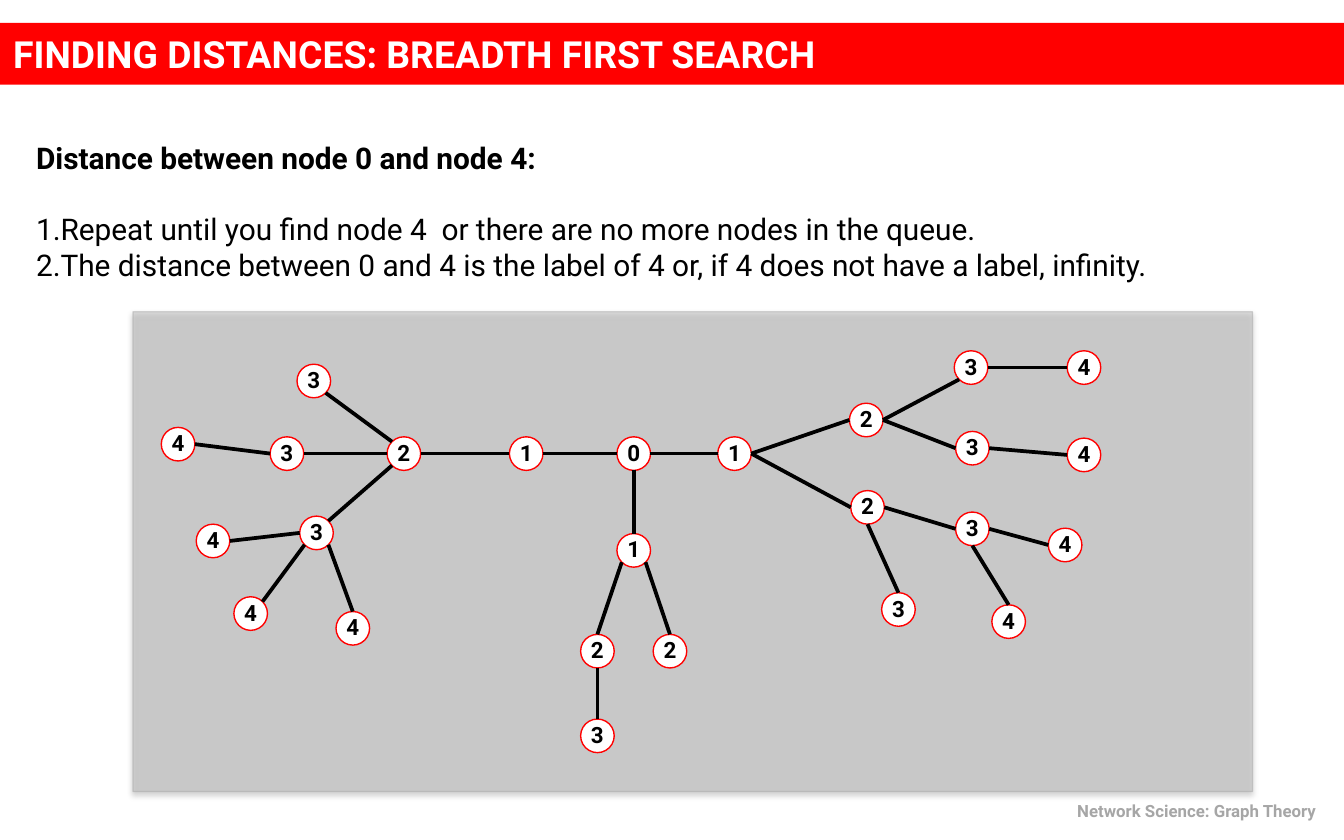
import math

from lxml import etree
from pptx import Presentation
from pptx.dml.color import RGBColor
from pptx.enum.shapes import MSO_CONNECTOR, MSO_SHAPE
from pptx.enum.text import MSO_ANCHOR, PP_ALIGN
from pptx.oxml.ns import qn
from pptx.util import Inches, Pt

TITLE = "FINDING DISTANCES: BREADTH FIRST SEARCH"
HEADING = "Distance between node 0 and node 4:"
STEPS = [
    "Repeat until you find node 4  or there are no more nodes in the queue.",
    "The distance between 0 and 4 is the label of 4 or, if 4 does not have a label, infinity.",
]
FOOTER = "Network Science: Graph Theory"

# node: (left, top, parent, side of the parent, side of the node)
# The number in a node is its distance from the root.
TREE = {
    "root": (4.59, 3.25, None, None, None),
    "right": (5.34, 3.25, "root", "E", "W"),
    "left": (3.79, 3.25, "root", "W", "E"),
    "down": (4.59, 3.97, "root", "S", "N"),
    "right up": (6.32, 3.00, "right", "E", "W"),
    "right low": (6.33, 3.65, "right", "E", "W"),
    "down right": (4.86, 4.72, "down", "SE", "N"),
    "down left": (4.32, 4.72, "down", "SW", "N"),
    "left hub": (2.88, 3.25, "left", "W", "E"),
    "right up 1": (7.10, 2.61, "right up", "E", "SW"),
    "right up 2": (7.11, 3.21, "right up", "E", "W"),
    "right low 1": (7.11, 3.81, "right low", "E", "W"),
    "right low 2": (6.56, 4.41, "right low", "S", "N"),
    "left up": (2.21, 2.71, "left hub", "NW", "SE"),
    "left mid": (2.01, 3.25, "left hub", "W", "E"),
    "left low": (2.23, 3.84, "left hub", "SW", "NE"),
    "down end": (4.32, 5.35, "down left", "S", "N"),
    "left low 1": (2.50, 4.55, "left low", "SE", "N"),
    "left low 2": (1.74, 4.44, "left low", "SW", "NE"),
    "left low 3": (1.46, 3.90, "left low", "W", "E"),
    "left mid end": (1.20, 3.18, "left mid", "W", "E"),
    "right low end 1": (7.80, 3.93, "right low 1", "E", "W"),
    "right low end 2": (7.38, 4.50, "right low 1", "S", "N"),
    "right up end 2": (7.94, 3.26, "right up 2", "E", "W"),
    "right up end 1": (7.94, 2.61, "right up 1", "E", "W"),
}
NODE_SIZE = 0.25
SIDES = ["E", "SE", "S", "SW", "W", "NW", "N", "NE"]

FONT = "Roboto"
BLACK = RGBColor(0x00, 0x00, 0x00)
WHITE = RGBColor(0xFF, 0xFF, 0xFF)
RED = RGBColor(0xFF, 0x00, 0x00)
GRAY = RGBColor(0xA6, 0xA6, 0xA6)
PANEL = RGBColor(0xBF, 0xBF, 0xBF)


def add_text(p, text, size=16, color=BLACK, bold=False, align=PP_ALIGN.LEFT):
    p.alignment = align
    r = p.add_run()
    r.text = text
    r.font.name = FONT
    r.font.size = Pt(size)
    r.font.bold = bold
    r.font.color.rgb = color


def add_box(s, kind, box, fill, line=None):
    sp = s.shapes.add_shape(kind, *map(Inches, box))
    sp.shadow.inherit = False
    sp.fill.solid()
    sp.fill.fore_color.rgb = fill
    if line is None:
        sp.line.fill.background()
    else:
        sp.line.color.rgb = line
        sp.line.width = Pt(0.75)
    return sp


def add_text_box(s, box):
    tf = s.shapes.add_textbox(*map(Inches, box)).text_frame
    tf.word_wrap = True
    return tf


def set_alpha(color, percent):
    etree.SubElement(color, qn("a:alpha"), val=str(percent * 1000))


def add_panel(s):
    """Translucent panel with a soft shadow below it."""
    sp = add_box(s, MSO_SHAPE.RECTANGLE, (0.99, 2.32, 8.33, 3.57), PANEL, GRAY)
    fill, line = sp._element.spPr.iter(qn("a:srgbClr"))
    set_alpha(fill, 51)
    set_alpha(line, 48)
    effects = sp._element.spPr.find(qn("a:effectLst"))
    shadow = etree.SubElement(effects, qn("a:outerShdw"), blurRad=str(Pt(3.1)),
                              dist=str(Pt(1.8)), dir="5400000", rotWithShape="0")
    set_alpha(etree.SubElement(shadow, qn("a:srgbClr"), val="000000"), 35)


def side_point(name, side):
    left, top = TREE[name][:2]
    radius = NODE_SIZE / 2
    angle = SIDES.index(side) * math.pi / 4
    return (Inches(left + radius + radius * math.cos(angle)),
            Inches(top + radius + radius * math.sin(angle)))


def distance(name):
    parent = TREE[name][2]
    return 0 if parent is None else distance(parent) + 1


def add_edge(s, start, end):
    line = s.shapes.add_connector(MSO_CONNECTOR.STRAIGHT, *start, *end)
    line.line.color.rgb = BLACK
    line.line.width = Pt(2)
    etree.SubElement(line._element.spPr, qn("a:effectLst"))


def add_node(s, name):
    left, top, parent, parent_side, own_side = TREE[name]
    sp = add_box(s, MSO_SHAPE.OVAL, (left, top, NODE_SIZE, NODE_SIZE), WHITE, RED)
    tf = sp.text_frame
    tf.word_wrap = False
    tf.vertical_anchor = MSO_ANCHOR.MIDDLE
    tf.margin_left = tf.margin_top = tf.margin_right = 0
    tf.margin_bottom = Inches(0.02)
    add_text(tf.paragraphs[0], str(distance(name)), size=12, bold=True, align=PP_ALIGN.CENTER)
    if parent is not None:
        add_edge(s, side_point(parent, parent_side), side_point(name, own_side))


def add_instructions(s):
    tf = add_text_box(s, (0.17, 0.83, 8.83, 1.61))
    p = tf.paragraphs[0]
    p.line_spacing = 1.6
    add_text(p, HEADING, bold=True)
    for i, step in enumerate(STEPS):
        p = tf.add_paragraph()
        if i == 0:
            p.space_before = Pt(19)
        pPr = p._p.get_or_add_pPr()
        pPr.set("marL", "0")
        pPr.set("indent", "0")
        etree.SubElement(pPr, qn("a:buFont"), typeface="+mj-lt")
        etree.SubElement(pPr, qn("a:buAutoNum"), type="arabicPeriod")
        add_text(p, step)


def main():
    prs = Presentation()
    prs.slide_width, prs.slide_height = Inches(10), Inches(6.25)
    s = prs.slides.add_slide(prs.slide_layouts[6])

    add_panel(s)
    add_instructions(s)

    banner = add_box(s, MSO_SHAPE.RECTANGLE, (0, 0.17, 10, 0.46), RED)
    banner.text_frame.vertical_anchor = MSO_ANCHOR.MIDDLE
    add_text(banner.text_frame.paragraphs[0], TITLE, size=20, color=WHITE, bold=True)

    footer = add_text_box(s, (7.08, 5.91, 2.83, 0.25))
    footer.margin_right = Inches(0.12)
    add_text(footer.paragraphs[0], FOOTER, size=9, color=GRAY, bold=True, align=PP_ALIGN.RIGHT)

    for name in TREE:
        add_node(s, name)

    prs.save("out.pptx")


if __name__ == "__main__":
    main()
